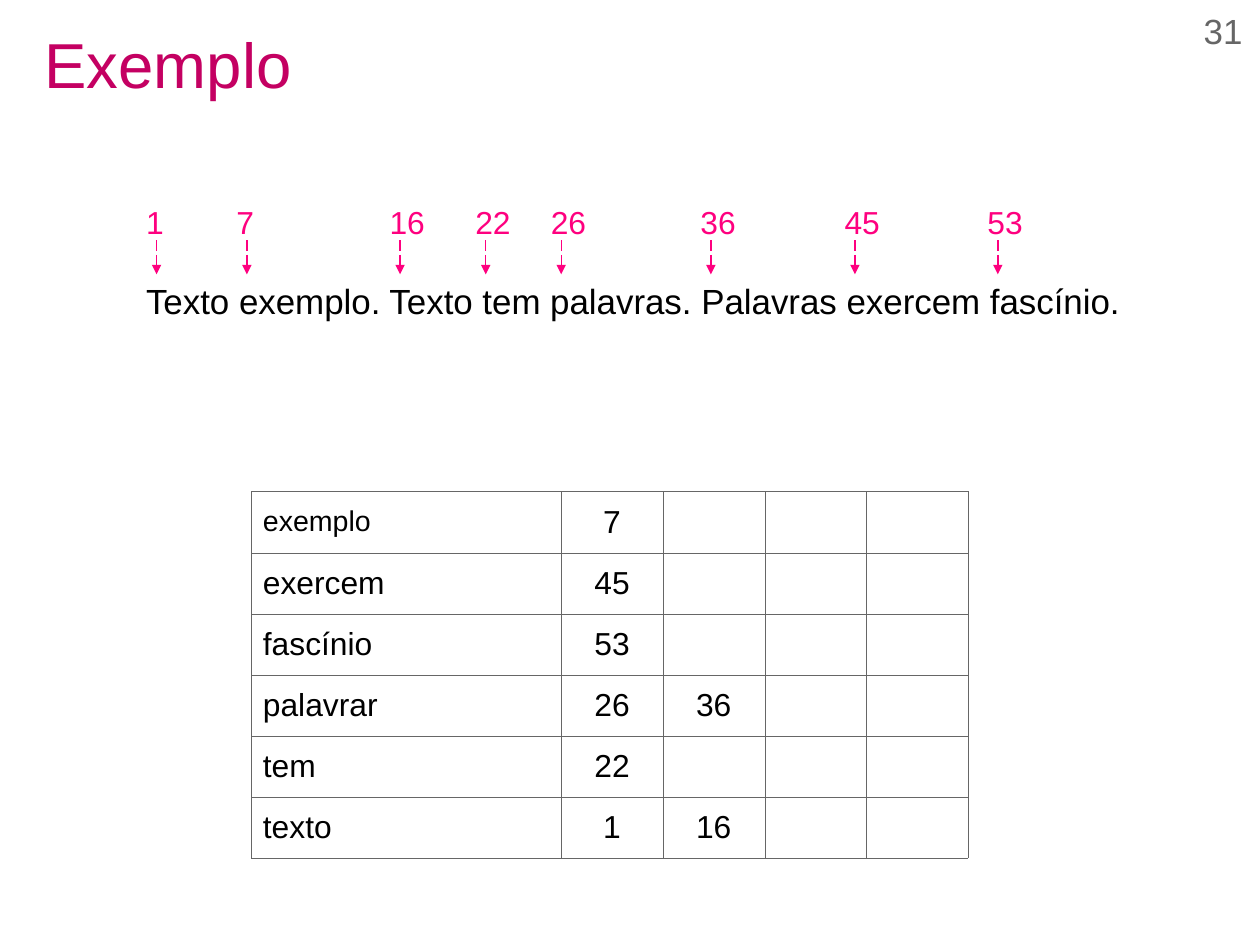
from lxml import etree
from pptx import Presentation
from pptx.dml.color import RGBColor
from pptx.enum import dml, shapes, text
from pptx.oxml import ns
from pptx.util import Inches, Pt

HUES = {"title": "C40062", "mark": "FE007F", "ink": "000000", "grey": "666666"}
LEFT, MID, RIGHT = text.PP_ALIGN.LEFT, text.PP_ALIGN.CENTER, text.PP_ALIGN.RIGHT
INCH = 2.54  # centimetres

# Word positions in the sentence and the left edge of each label
MARKS = {1: 1.18, 7: 1.97, 16: 3.31, 22: 4.06,
         26: 4.72, 36: 6.03, 45: 7.29, 53: 8.54}
INDEX = {"exemplo": [7], "exercem": [45], "fascínio": [53],
         "palavrar": [26, 36], "tem": [22], "texto": [1, 16]}


def hue(name):
    return RGBColor.from_string(HUES[name])


def apply(item, form):
    for key, value in form.items():
        setattr(item, key, value)


def write(frame, words, size, color, align=LEFT):
    para = frame.paragraphs[0]
    para.alignment = align
    run = para.add_run()
    run.text = words
    apply(run.font, {"size": Pt(size), "name": "Arial"})
    run.font.color.rgb = hue(color)
    return para


def pad(frame, side, top):
    apply(frame, {"margin_left": Inches(side), "margin_right": Inches(side),
                  "margin_top": Inches(top), "margin_bottom": Inches(top)})


def add_title(slide, words):
    title = slide.shapes.title
    apply(title, {"left": Inches(0.39), "top": Inches(0.2),
                  "width": Inches(10.24), "height": Inches(0.79)})
    frame = title.text_frame
    pad(frame, 0, 0)
    apply(frame, {"vertical_anchor": text.MSO_ANCHOR.MIDDLE, "word_wrap": True})
    write(frame, words, 40, "title").line_spacing = 0.9


def add_label(slide, box, words, size, color):
    frame = slide.shapes.add_textbox(*map(Inches, box)).text_frame
    pad(frame, 0.1, 0.05)
    apply(frame, {"word_wrap": False,
                  "auto_size": text.MSO_AUTO_SIZE.SHAPE_TO_FIT_TEXT})
    write(frame, words, size, color)


def add_arrow(slide, x, top, end):
    arrow = slide.shapes.add_connector(
        shapes.MSO_CONNECTOR.STRAIGHT, Inches(x), Inches(top), Inches(x), Inches(end))
    line = arrow.line
    line.color.rgb = hue("mark")
    apply(line, {"width": Pt(0.85), "dash_style": dml.MSO_LINE.LONG_DASH})
    props = arrow._element.spPr
    etree.SubElement(props.find(ns.qn("a:ln")), ns.qn("a:tailEnd"), type="triangle")
    etree.SubElement(props, ns.qn("a:effectLst"))


def add_edges(cell):
    props = cell._tc.get_or_add_tcPr()
    for side in ("lnL", "lnR", "lnT", "lnB"):
        edge = etree.SubElement(props, ns.qn("a:" + side), w=str(Pt(0.06)))
        fill = etree.SubElement(edge, ns.qn("a:solidFill"))
        etree.SubElement(fill, ns.qn("a:srgbClr"), val=HUES["grey"])


def add_index(slide):
    widths = [2.71] + [0.89] * 4
    table = slide.shapes.add_table(
        len(INDEX), len(widths), Inches(2.2), Inches(4.3),
        Inches(sum(widths)), Inches(3.21)).table
    apply(table, {"first_row": False, "horz_banding": False})
    for column, width in zip(table.columns, widths):
        column.width = Inches(width)
    for cell in table.iter_cells():
        add_edges(cell)
        cell.fill.background()
        cell.vertical_anchor = text.MSO_ANCHOR.MIDDLE
    for row, (word, places) in enumerate(INDEX.items()):
        size = 18 if row == 0 else 20
        write(table.cell(row, 0).text_frame, word, size, "ink")
        for col, place in enumerate(places, 1):
            write(table.cell(row, col).text_frame, str(place), 20, "ink", MID)


def add_number(slide, number):
    box = map(Inches, (8.14, 0.08, 2.73, 0.46))
    frame = slide.shapes.add_textbox(*box).text_frame
    pad(frame, 0, 0)
    frame.word_wrap = True
    write(frame, number, 22, "grey", RIGHT)


def main():
    # Page of 28 by 21 centimetres
    deck = Presentation()
    deck.slide_width = Inches(28 / INCH)
    deck.slide_height = Inches(21 / INCH)
    slide = deck.slides.add_slide(deck.slide_layouts[5])
    add_title(slide, "Exemplo")

    # Sentence with its marked word positions
    add_label(slide, (1.18, 2.4, 8.74, 0.51),
              "Texto exemplo. Texto tem palavras. Palavras exercem fascínio.",
              22, "ink")
    for place, x in MARKS.items():
        width = 0.35 if place < 10 else 0.51
        add_label(slide, (x, 1.72, width, 0.41), str(place), 20, "mark")
        add_arrow(slide, x + 0.19, 2.1, 2.4)

    # Inverted index and slide number
    add_index(slide)
    add_number(slide, "31")
    deck.save("out.pptx")


if __name__ == "__main__":
    main()
